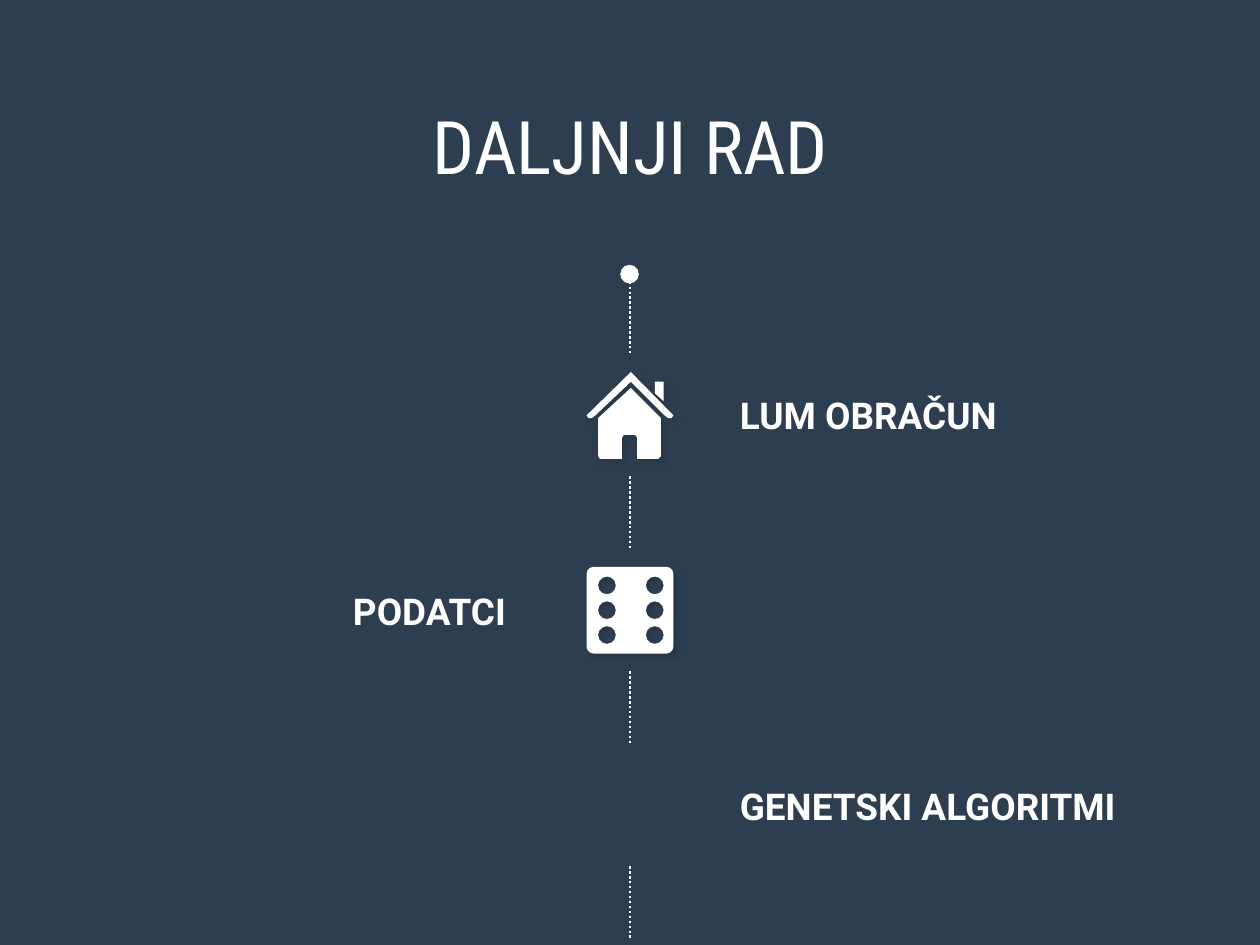
import math

from lxml import etree
from pptx import Presentation
from pptx import util as u
from pptx.dml.color import RGBColor
from pptx.enum import dml, shapes, text
from pptx.oxml import parse_xml
from pptx.oxml.ns import nsdecls, qn

PX = 9144  # EMU per px, 100 px to the inch
SLIDE_WIDTH, SLIDE_HEIGHT = 1422, 1067
AXIS_X = 711
STEP = 220  # distance between timeline entries
NAVY = RGBColor(0x2C, 0x3E, 0x50)
WHITE = RGBColor(0xFF, 0xFF, 0xFF)

HOUSE_WALLS = [
    (675, 515), (677, 518), (702, 518), (702, 495), (703, 492), (705, 491),
    (715, 491), (718, 492), (719, 495), (719, 518), (743, 518), (746, 515),
    (746, 472), (712, 438), (675, 472),
]
HOUSE_CHIMNEY = [(749, 431), (739, 431), (739, 444), (749, 453)]
HOUSE_ROOF = [
    (662, 469), (664, 472), (668, 472), (672, 469), (712, 431), (750, 469),
    (754, 472), (758, 472), (760, 469), (712, 420),
]


def px(*lengths):
    return [u.Emu(round(length * PX)) for length in lengths]


def arc(center_x, center_y, radius, start, end, steps):
    """Points along an arc, angles in degrees."""
    angles = [math.radians(start + (end - start) * i / steps) for i in range(steps + 1)]
    return [(center_x + radius * math.cos(a), center_y + radius * math.sin(a)) for a in angles]


def die_contours():
    left, top, right, bottom, radius = 662, 640, 760, 738, 8
    corners = [
        (right - radius, bottom - radius), (left + radius, bottom - radius),
        (left + radius, top + radius), (right - radius, top + radius),
    ]
    outline = []
    for i, (x, y) in enumerate(corners):
        outline += arc(x, y, radius, 90 * i, 90 * i + 90, 3)
    pips = [arc(x, y, 10, 330, 0, 11) for x in (685, 739) for y in (661, 689, 717)]
    return [outline] + pips


def fill_white(shape):
    shape.shadow.inherit = False
    shape.fill.solid()
    shape.fill.fore_color.rgb = WHITE
    shape.line.fill.background()


def add_icon(slide, contours):
    """One white freeform made of closed contours, with a soft shadow."""
    contours = [[px(*point) for point in contour] for contour in contours]
    builder = slide.shapes.build_freeform(*contours[0][0], scale=1.0)
    builder.add_line_segments(contours[0][1:], close=True)
    for contour in contours[1:]:
        builder.move_to(*contour[0])
        builder.add_line_segments(contour[1:], close=True)
    icon = builder.convert_to_shape()
    fill_white(icon)
    effects = icon._element.spPr.find(qn("a:effectLst"))
    effects.append(parse_xml(
        f'<a:outerShdw {nsdecls("a")} blurRad="{u.Pt(5)}" dist="{u.Pt(4)}" dir="2700000">'
        '<a:srgbClr val="000000"><a:alpha val="10000"/></a:srgbClr></a:outerShdw>'))


def add_dotted_line(slide, top, length):
    line = slide.shapes.add_connector(
        shapes.MSO_CONNECTOR.STRAIGHT, *px(AXIS_X, top, AXIS_X, top + length))
    line.line.color.rgb = WHITE
    line.line.width = u.Pt(2)
    line.line.dash_style = dml.MSO_LINE.ROUND_DOT
    etree.SubElement(line._element.spPr, qn("a:effectLst"))


def add_dot(slide, left, top, size):
    dot = slide.shapes.add_shape(shapes.MSO_SHAPE.OVAL, *px(left, top, size, size))
    fill_white(dot)


def write(shape, words, *, size, font, margin, bold=False, align=text.PP_ALIGN.LEFT,
          anchor=text.MSO_ANCHOR.TOP, spacing=None, wrap=True, fit=text.MSO_AUTO_SIZE.NONE):
    frame = shape.text_frame
    frame.word_wrap = wrap
    frame.auto_size = fit
    frame.vertical_anchor = anchor
    frame.margin_left, frame.margin_top, frame.margin_right, frame.margin_bottom = px(*[margin] * 4)
    paragraph = frame.paragraphs[0]
    paragraph.alignment = align
    paragraph.line_spacing = spacing
    run = paragraph.add_run()
    run.text = words
    run.font.name = font
    run.font.size = u.Pt(size)
    run.font.bold = bold
    run.font.color.rgb = WHITE


def add_label(slide, words, left, top, width, align=text.PP_ALIGN.LEFT):
    label = slide.shapes.add_textbox(*px(left, top, width, 57))
    write(label, words, size=30, font="Roboto", margin=4, bold=True, align=align,
          wrap=False, fit=text.MSO_AUTO_SIZE.SHAPE_TO_FIT_TEXT)


def set_title(slide, words):
    title = slide.shapes.title
    title.left, title.top, title.width, title.height = px(404, 3, 615, 340)
    write(title, words, size=60, font="Roboto Condensed", margin=8, spacing=0.8,
          align=text.PP_ALIGN.CENTER, anchor=text.MSO_ANCHOR.MIDDLE)


def main():
    presentation = Presentation()
    presentation.slide_width, presentation.slide_height = px(SLIDE_WIDTH, SLIDE_HEIGHT)
    slide = presentation.slides.add_slide(presentation.slide_layouts[5])
    slide.background.fill.solid()
    slide.background.fill.fore_color.rgb = NAVY

    set_title(slide, "DALJNJI RAD")
    for i in range(4):
        add_dotted_line(slide, 318 + STEP * i, 81)
    add_dot(slide, 700, 299, 21)
    add_icon(slide, [HOUSE_WALLS, HOUSE_CHIMNEY, HOUSE_ROOF])
    add_icon(slide, die_contours())
    add_label(slide, "LUM OBRAČUN", 831, 439, 318)
    add_label(slide, "PODATCI", 382, 661, 193, align=text.PP_ALIGN.RIGHT)
    add_label(slide, "GENETSKI ALGORITMI", 831, 881, 465)

    presentation.save("out.pptx")


if __name__ == "__main__":
    main()
